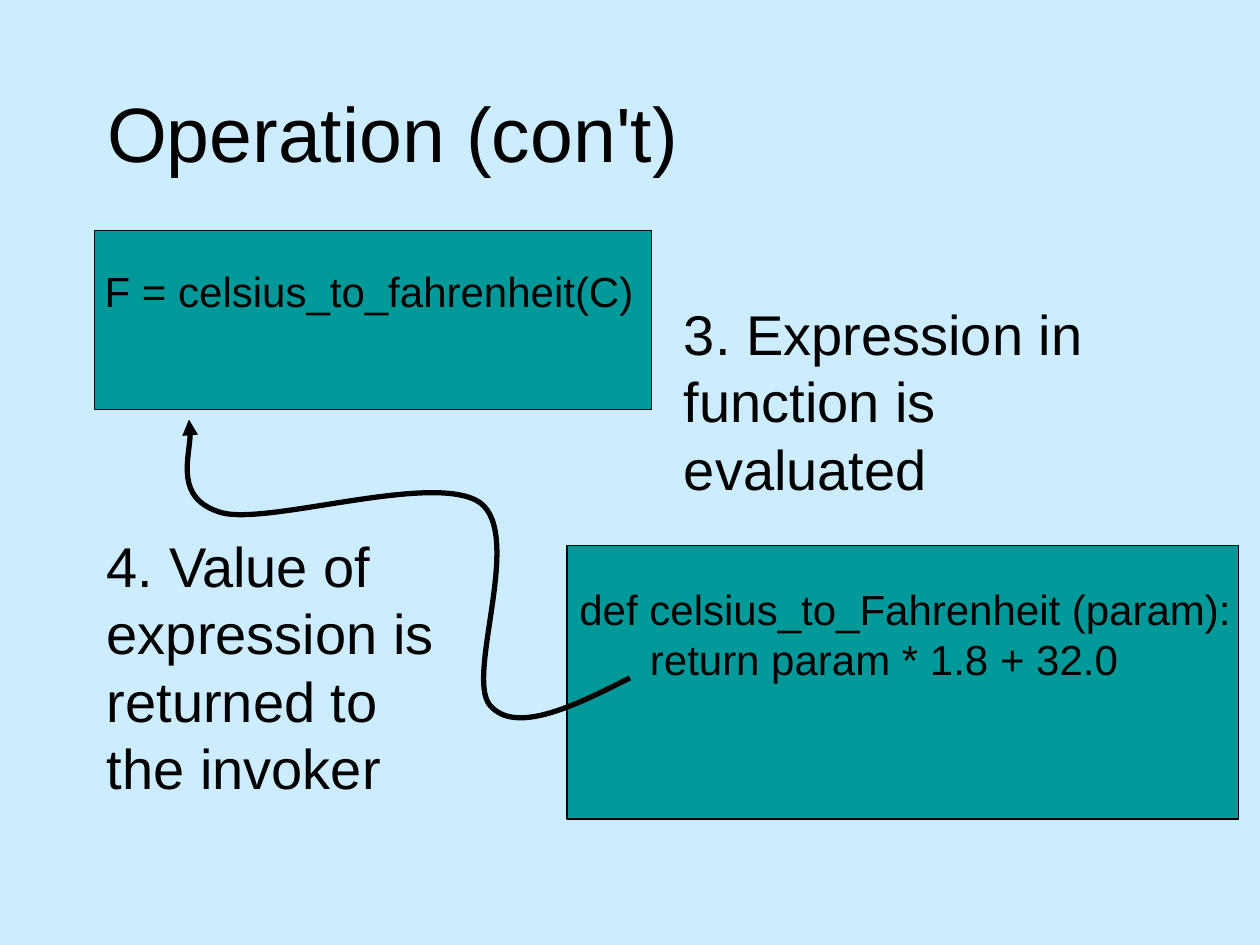
import dataclasses

import pptx
import pptx.dml.color
import pptx.enum.shapes
import pptx.enum.text
import pptx.oxml
import pptx.oxml.ns
import pptx.util

Inches = pptx.util.Inches
Pt = pptx.util.Pt


@dataclasses.dataclass(frozen=True)
class Theme:
    """Colours, fonts and sizes of the slide."""
    background: str = "CCECFF"
    panel: str = "009999"
    ink: str = "000000"
    font: str = "Arial"
    code_font: str = "Courier New"
    title: int = 44
    body: int = 32
    gap: int = 28
    code: int = 24
    outline: float = 0.75
    arrow: float = 3


class SlideBuilder:
    """Draws styled elements on the current slide."""

    def __init__(self, deck, theme):
        self.theme = theme
        self.page = deck.slides.add_slide(deck.slide_layouts[5])
        fill = self.page.background.fill
        fill.solid()
        fill.fore_color.rgb = self.color(theme.background)

    def color(self, value):
        """Turn a hex value into a colour."""
        return pptx.dml.color.RGBColor.from_string(value)

    def style(self, span, size, font=None):
        """Set the font of one run."""
        span.font.name = font or self.theme.font
        span.font.size = Pt(size)
        span.font.color.rgb = self.color(self.theme.ink)

    def title(self, text, left, top, width, height):
        """Fill and place the title placeholder."""
        box = self.page.shapes.title
        box.left, box.top = Inches(left), Inches(top)
        box.width, box.height = Inches(width), Inches(height)
        frame = box.text_frame
        frame.text = text
        frame.vertical_anchor = pptx.enum.text.MSO_ANCHOR.MIDDLE
        para = frame.paragraphs[0]
        para.alignment = pptx.enum.text.PP_ALIGN.LEFT
        self.style(para.runs[0], self.theme.title)

    def text(self, lines, left, top, width, height, size):
        """Add a wrapped text box with one paragraph per line."""
        box = self.page.shapes.add_textbox(
            Inches(left), Inches(top), Inches(width), Inches(height))
        frame = box.text_frame
        frame.word_wrap = True
        frame.text = "\n".join(lines)
        for para in frame.paragraphs:
            for span in para.runs:
                self.style(span, size)
        return frame

    def panel(self, left, top, width, height):
        """Add a filled rectangle with a thin outline."""
        box = self.page.shapes.add_shape(
            pptx.enum.shapes.MSO_SHAPE.RECTANGLE,
            Inches(left), Inches(top), Inches(width), Inches(height))
        box.shadow.inherit = False
        box.fill.solid()
        box.fill.fore_color.rgb = self.color(self.theme.panel)
        box.line.color.rgb = self.color(self.theme.ink)
        box.line.width = Pt(self.theme.outline)

    def curved_arrow(self, points):
        """Add an open Bezier curve ending in an arrowhead."""
        start, *controls = [(Inches(x), Inches(y)) for x, y in points]
        builder = self.page.shapes.build_freeform(*start)
        builder.add_line_segments(controls, close=False)
        curve = builder.convert_to_shape()
        curve.shadow.inherit = False
        curve.fill.background()
        curve.line.color.rgb = self.color(self.theme.ink)
        curve.line.width = Pt(self.theme.arrow)
        qn = pptx.oxml.ns.qn
        outline = next(curve.element.iter(qn("a:path")))
        segments = outline.findall(qn("a:lnTo"))
        for first in range(0, len(segments), 3):
            bezier = outline.makeelement(qn("a:cubicBezTo"), {})
            outline.append(bezier)
            for segment in segments[first:first + 3]:
                bezier.append(segment[0])
                outline.remove(segment)
        line = curve.line._get_or_add_ln()
        line.append(line.makeelement(qn("a:tailEnd"), {"type": "triangle"}))


def main():
    """Build and save the slide."""
    deck = pptx.Presentation()
    deck.slide_width, deck.slide_height = Inches(10), Inches(7.5)
    theme = Theme()
    slide = SlideBuilder(deck, theme)
    slide.title("Operation (con't)", 0.75, 0.42, 8.5, 1.25)
    slide.text(["3. Expression in function is evaluated"],
               5.33, 2.33, 4.08, 1.72, theme.body)
    slide.text(["4. Value of expression is returned to the invoker"],
               0.75, 4.17, 3, 2.23, theme.body)

    slide.panel(0.75, 1.83, 4.42, 1.42)
    call = slide.text([" "], 0.5, 2, 5, 0.88, theme.code).paragraphs[0]
    slide.style(call.runs[0], theme.gap, theme.code_font)
    span = call.add_run()
    span.text = "F = celsius_to_fahrenheit(C)"
    slide.style(span, theme.code)

    slide.panel(4.5, 4.33, 5.33, 2.17)
    function = slide.text(
        ["def celsius_to_Fahrenheit (param):", "return param * 1.8 + 32.0"],
        4.5, 4.58, 5.42, 0.91, theme.code)
    indent = function.paragraphs[1]._p.get_or_add_pPr()
    indent.set("marL", str(Inches(0.56)))
    indent.set("indent", "0")

    slide.curved_arrow([
        (5, 5.38),
        (4.55, 5.61), (4.09, 5.83), (3.89, 5.6),
        (3.69, 5.37), (4.16, 4.25), (3.81, 3.99),
        (3.45, 3.74), (2.14, 4.17), (1.76, 4.07),
        (1.38, 3.96), (1.55, 3.46), (1.5, 3.33)])
    deck.save("out.pptx")


if __name__ == "__main__":
    main()
